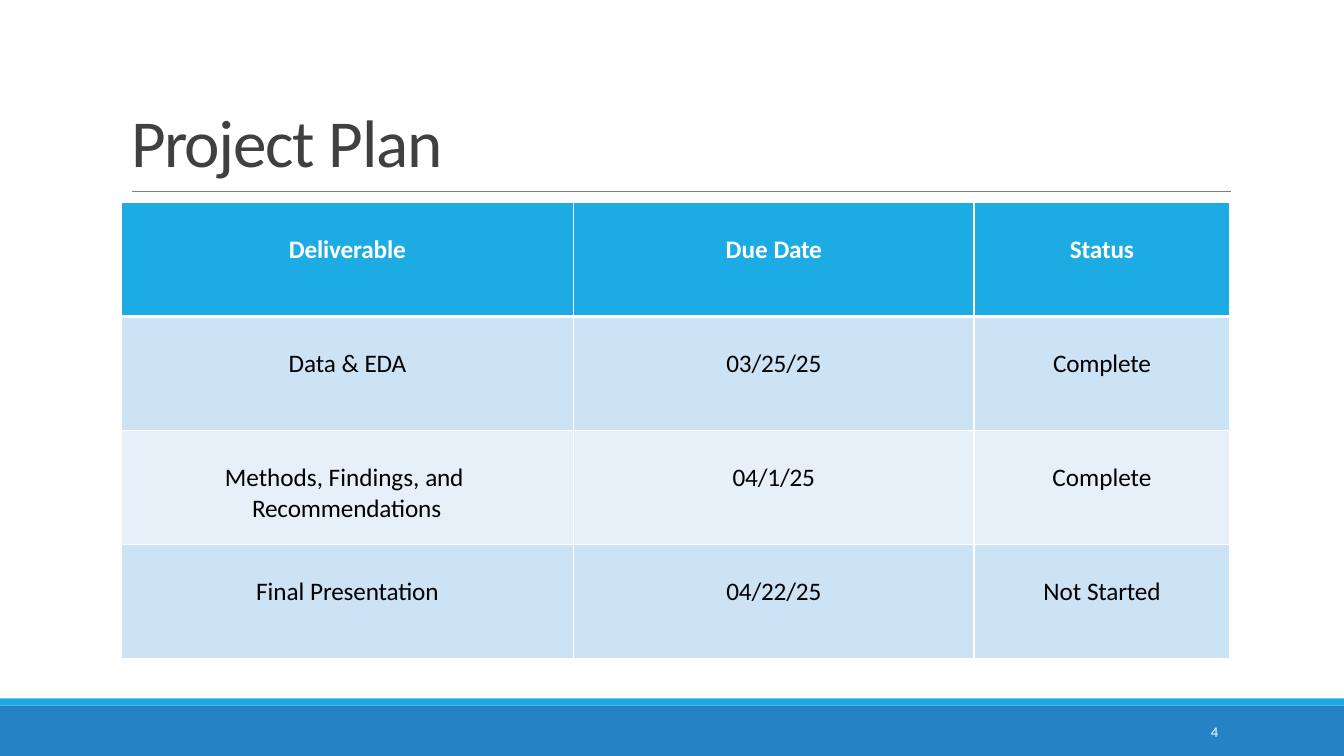
"""Build a project plan slide with a table of deliverables."""
from dataclasses import dataclass

from lxml import etree
from pptx import Presentation
from pptx import util as u
from pptx.dml import color
from pptx.enum import shapes, text
from pptx.oxml import ns

COLORS = {
    "band": "2583C5",
    "accent": "1CACE3",
    "rule": "7E7E7E",
    "title": "404040",
    "white": "FFFFFF",
    "black": "000000",
    "odd_row": "CCE2F5",
    "even_row": "E7F0F9",
}
FONT = "Calibri"


@dataclass(frozen=True)
class Run:
    text: str
    spacing: float = 0


@dataclass(frozen=True)
class Style:
    size: float
    color: str
    bold: bool = False


@dataclass(frozen=True)
class Bar:
    top: float
    height: float
    color: str


@dataclass(frozen=True)
class Label:
    left: float
    top: float
    width: float
    height: float
    runs: tuple[Run, ...]
    style: Style
    line_spacing: float | None = None


@dataclass(frozen=True)
class Cell:
    runs: tuple[Run, ...]
    hanging: bool = False


BARS = (Bar(7, 0.5, "band"), Bar(6.93, 0.07, "accent"))
LABELS = (
    Label(1.3, 1, 4.77, 0.83, (Run("Project ", -1.1), Run("Plan", -0.8)),
          Style(48, "title")),
    Label(12.01, 7.19, 0.22, 0.17, (Run("4", -0.2),), Style(10.5, "white"), 11),
)
HEADER_STYLE = Style(18, "white", True)
BODY_STYLE = Style(18, "black")
COLUMN_WIDTHS = (4.49, 3.97, 2.54)
ROW_HEIGHT = 1.13
ROWS = (
    (Cell((Run("Deliverable", -0.1),)),
     Cell((Run("Due "), Run("Date", -0.2))),
     Cell((Run("Status", -0.1),))),
    (Cell((Run("Data & "), Run("EDA", -0.2))),
     Cell((Run("03/25/25", -0.1),)),
     Cell((Run("Complete", -0.1),))),
    (Cell((Run("Methods, Findings, "), Run("and ", -0.2),
           Run("Recommendations", -0.1)), hanging=True),
     Cell((Run("04/1/25", -0.1),)),
     Cell((Run("Complete"),))),
    (Cell((Run("Final "), Run("Presentation", -0.1))),
     Cell((Run("04/22/25", -0.1),)),
     Cell((Run("Not "), Run("Started", -0.1)))),
)


def rgb(name: str) -> color.RGBColor:
    return color.RGBColor.from_string(COLORS[name])


def add_runs(paragraph, runs: tuple[Run, ...], style: Style) -> None:
    for item in runs:
        run = paragraph.add_run()
        run.text = item.text
        run.font.name = FONT
        run.font.size = u.Pt(style.size)
        run.font.bold = style.bold
        run.font.color.rgb = rgb(style.color)
        run._r.get_or_add_rPr().set("spc", str(round(item.spacing * 100)))


def add_bar(slide, bar: Bar) -> None:
    shape = slide.shapes.add_shape(
        shapes.MSO_SHAPE.RECTANGLE, 0, u.Inches(bar.top),
        u.Inches(13.33), u.Inches(bar.height))
    shape.shadow.inherit = False
    shape.fill.solid()
    shape.fill.fore_color.rgb = rgb(bar.color)
    shape.line.fill.background()


def add_rule(slide) -> None:
    rule = slide.shapes.add_connector(
        shapes.MSO_CONNECTOR.STRAIGHT, u.Inches(1.31), u.Inches(1.9),
        u.Inches(12.21), u.Inches(1.9))
    rule.line.color.rgb = rgb("rule")
    rule.line.width = u.Pt(0.5)
    etree.SubElement(rule._element.spPr, ns.qn("a:effectLst"))


def add_label(slide, label: Label) -> None:
    box = slide.shapes.add_textbox(
        u.Inches(label.left), u.Inches(label.top),
        u.Inches(label.width), u.Inches(label.height))
    frame = box.text_frame
    frame.word_wrap = True
    frame.margin_left = frame.margin_right = 0
    frame.margin_top = frame.margin_bottom = 0
    paragraph = frame.paragraphs[0]
    if label.line_spacing:
        paragraph.line_spacing = u.Pt(label.line_spacing)
    add_runs(paragraph, label.runs, label.style)


def add_borders(cell, top: float, bottom: float) -> None:
    properties = cell._tc.get_or_add_tcPr()
    for side, width in (("L", 1), ("R", 1), ("T", top), ("B", bottom)):
        line = etree.SubElement(properties, ns.qn(f"a:ln{side}"), w=str(u.Pt(width)))
        fill = etree.SubElement(line, ns.qn("a:solidFill"))
        etree.SubElement(fill, ns.qn("a:srgbClr"), val=COLORS["white"])


def fill_cell(cell, content: Cell, row: int) -> None:
    add_borders(cell, 3 if row == 1 else 1, 3 if row == 0 else 1)
    cell.fill.solid()
    fill_name = "accent" if row == 0 else "odd_row" if row % 2 else "even_row"
    cell.fill.fore_color.rgb = rgb(fill_name)
    cell.margin_left = cell.margin_right = cell.margin_bottom = 0
    cell.margin_top = u.Inches(0.32)
    cell.vertical_anchor = text.MSO_ANCHOR.TOP
    paragraph = cell.text_frame.paragraphs[0]
    if content.hanging:
        properties = paragraph._p.get_or_add_pPr()
        properties.set("marL", str(u.Inches(1.3)))
        properties.set("indent", str(u.Inches(-0.27)))
    else:
        paragraph.alignment = text.PP_ALIGN.CENTER
    add_runs(paragraph, content.runs, BODY_STYLE if row else HEADER_STYLE)


def add_plan_table(slide) -> None:
    table = slide.shapes.add_table(
        len(ROWS), len(COLUMN_WIDTHS), u.Inches(1.2), u.Inches(2.01),
        u.Inches(sum(COLUMN_WIDTHS)), u.Inches(ROW_HEIGHT * len(ROWS))).table
    table.first_row = table.horz_banding = False
    for column, width in zip(table.columns, COLUMN_WIDTHS):
        column.width = u.Inches(width)
    for row, contents in enumerate(ROWS):
        table.rows[row].height = u.Inches(ROW_HEIGHT)
        for column, content in enumerate(contents):
            fill_cell(table.cell(row, column), content, row)


def main() -> None:
    presentation = Presentation()
    presentation.slide_width = u.Inches(13.33)
    presentation.slide_height = u.Inches(7.5)
    slide = presentation.slides.add_slide(presentation.slide_layouts[6])
    for bar in BARS:
        add_bar(slide, bar)
    add_rule(slide)
    for label in LABELS:
        add_label(slide, label)
    add_plan_table(slide)
    presentation.save("out.pptx")


if __name__ == "__main__":
    main()
